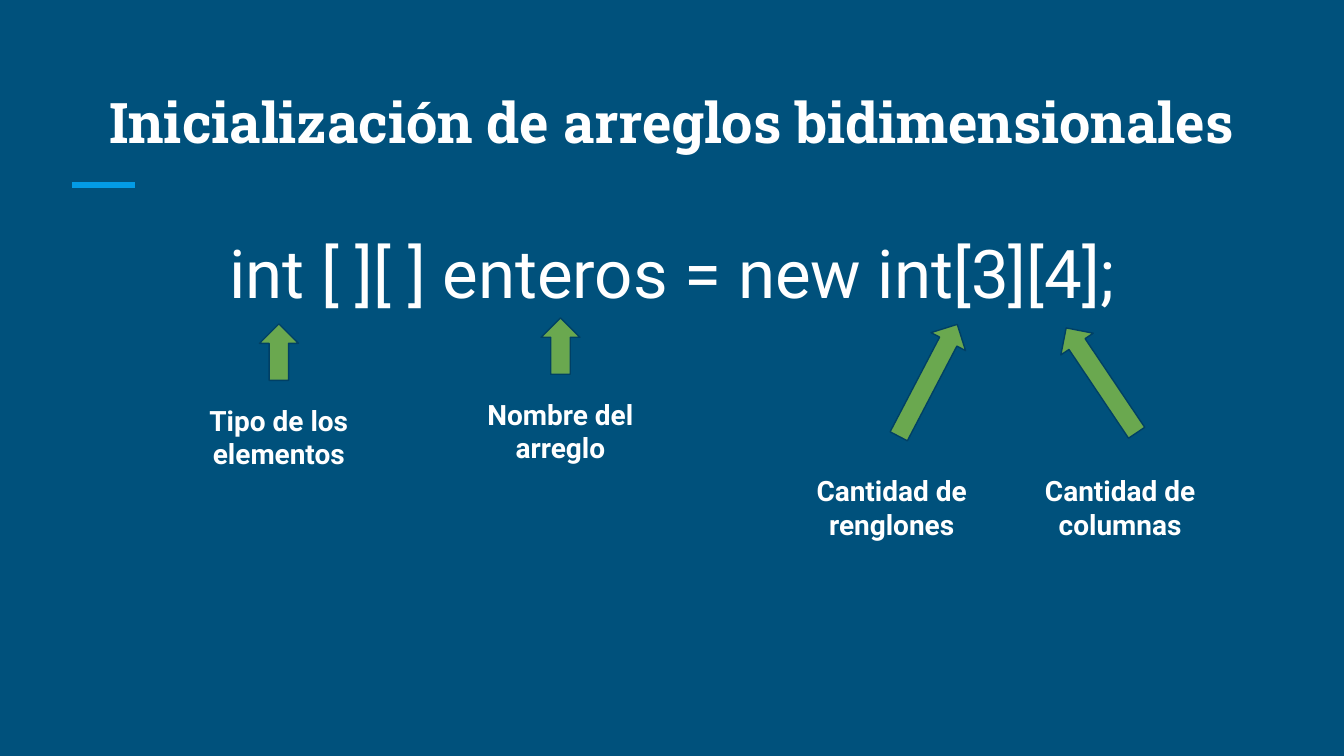
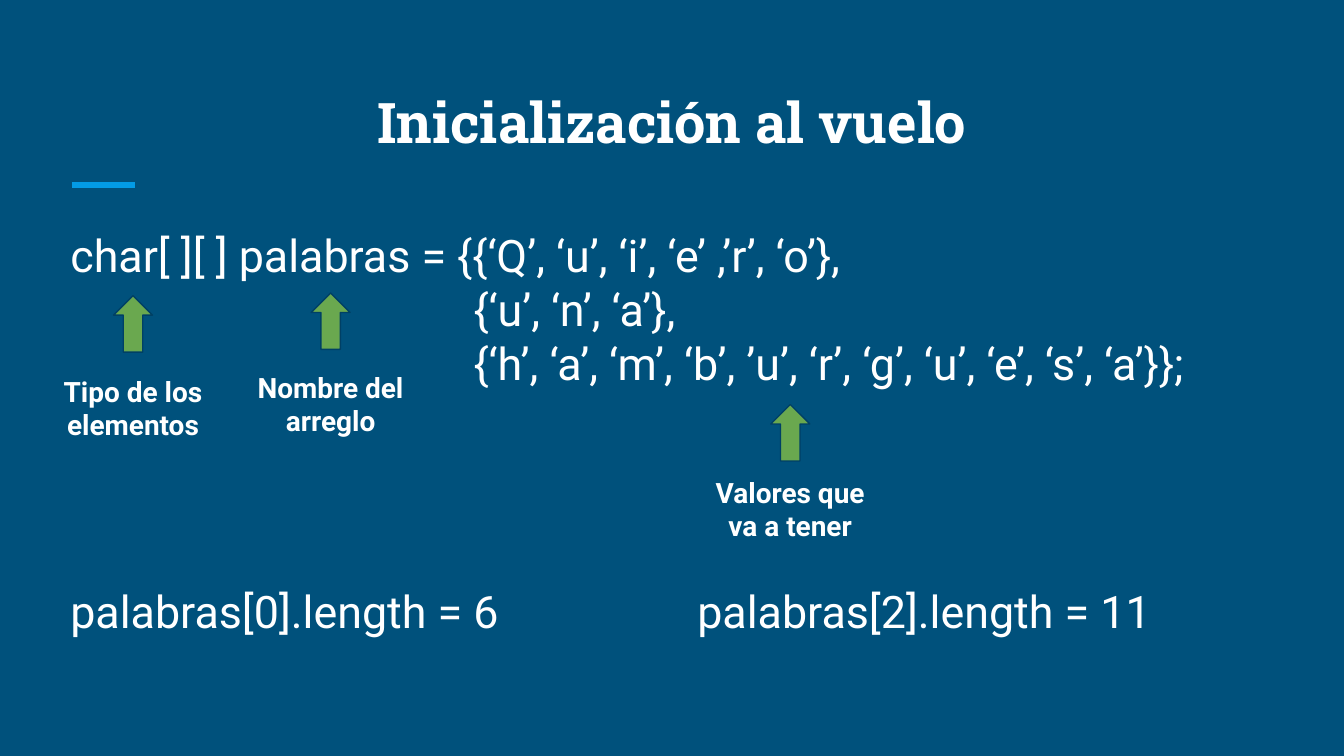
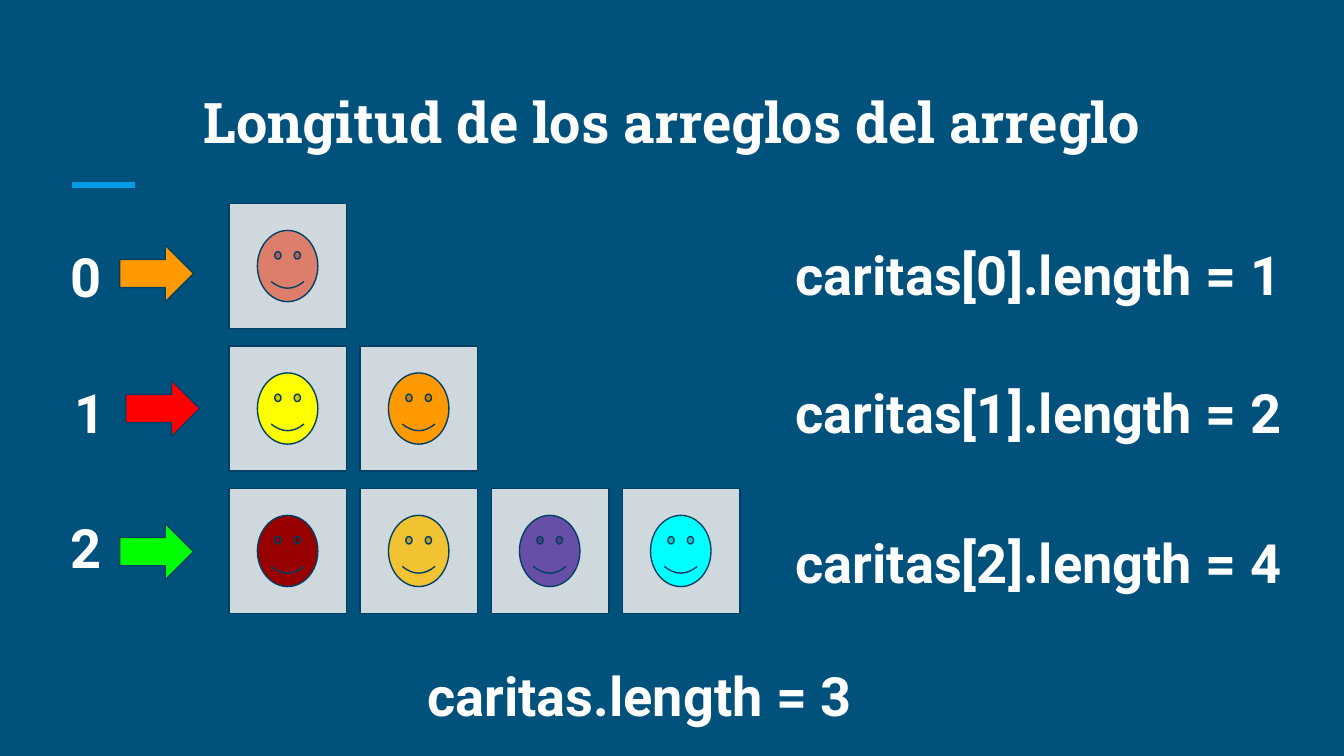
from pptx import Presentation
from pptx.dml.color import RGBColor
from pptx.enum.shapes import MSO_CONNECTOR as Connector, MSO_SHAPE as Shape
from pptx.enum.text import MSO_ANCHOR as Anchor, PP_ALIGN as Align
from pptx.oxml.ns import qn
from pptx.util import Pt
from lxml.etree import SubElement

EMU_PER_PX = 4572
COLORS = {
    "background": "00517C",
    "accent": "039BE5",
    "text": "FFFFFF",
    "outline": "004065",
    "pointer": "6AA84F",
    "cell": "CFD8DC",
    "salmon": "DD7E6B",
    "yellow": "FFFF00",
    "orange": "FF9900",
    "maroon": "980000",
    "gold": "F1C232",
    "purple": "674EA7",
    "cyan": "00FFFF",
    "red": "FF0000",
    "green": "00FF00",
}
BODY_FONT = "Roboto"
TITLE_FONT = "Roboto Slab"


def px(*lengths):
    return [length * EMU_PER_PX for length in lengths]


def color(name):
    return RGBColor.from_string(COLORS[name])


class Deck:
    def __init__(self, width, height):
        self.presentation = Presentation()
        self.presentation.slide_width, self.presentation.slide_height = px(width, height)
        self.shapes = None

    def new_slide(self, title):
        slide = self.presentation.slides.add_slide(self.presentation.slide_layouts[6])
        slide.background.fill.solid()
        slide.background.fill.fore_color.rgb = color("background")
        self.shapes = slide.shapes
        self.rule(107, 275, 201, 275)
        self.text([title], 85, 100, 1830, 150, 30, bold=True, align=Align.CENTER,
                  font=TITLE_FONT, anchor=Anchor.BOTTOM)

    def rule(self, *ends):
        connector = self.shapes.add_connector(Connector.STRAIGHT, *px(*ends))
        connector.line.color.rgb = color("accent")
        connector.line.width = Pt(3)
        SubElement(connector._element.spPr, qn("a:effectLst"))

    def text(self, lines, left, top, width, height, size, bold=False, align=Align.LEFT,
             font=BODY_FONT, anchor=Anchor.TOP, hanging=(0, 0)):
        frame = self.shapes.add_textbox(*px(left, top, width, height)).text_frame
        frame.word_wrap = True
        frame.vertical_anchor = anchor
        frame.margin_left, frame.margin_top, frame.margin_right, frame.margin_bottom = px(20, 20, 20, 20)
        for index, line in enumerate(lines):
            paragraph = frame.add_paragraph() if index else frame.paragraphs[0]
            paragraph.alignment = align
            if index:
                properties = paragraph._p.get_or_add_pPr()
                for name, length in zip(("marL", "indent"), px(*hanging)):
                    properties.set(name, str(length))
            run = paragraph.add_run()
            run.text = line
            run.font.name = font
            run.font.size = Pt(size)
            run.font.bold = bold
            run.font.color.rgb = color("text")

    def shape(self, kind, fill, left, top, width, height, rotation=0):
        shape = self.shapes.add_shape(kind, *px(left, top, width, height))
        shape.rotation = rotation
        shape.shadow.inherit = False
        shape.fill.solid()
        shape.fill.fore_color.rgb = color(fill)
        shape.line.color.rgb = color("outline")
        shape.line.width = Pt(0.75)

    def callout(self, label, label_at, arrow_at, arrow_height=84, rotation=0):
        slide_shapes = self.shapes
        self.shapes = slide_shapes.add_group_shape().shapes
        self.shape(Shape.UP_ARROW, "pointer", *arrow_at, 58, arrow_height, rotation)
        self.text([label], *label_at, 294, 64, 15, bold=True, align=Align.CENTER)
        self.shapes = slide_shapes

    def row_marker(self, number, number_at, arrow_at, fill):
        slide_shapes = self.shapes
        self.shapes = slide_shapes.add_group_shape().shapes
        self.text([str(number)], *number_at, 88, 106, 29, bold=True, align=Align.CENTER)
        self.shape(Shape.RIGHT_ARROW, fill, *arrow_at, 110, 84)
        self.shapes = slide_shapes

    def face_cell(self, row, column, fill):
        left = 341 + column * 195
        top = 303 + row * 212
        self.shape(Shape.RECTANGLE, "cell", left, top, 175, 186)
        self.shape(Shape.SMILEY_FACE, fill, left + 42, top + 40, 90, 106)

    def length(self, name, value, left, top):
        self.text([f"{name}.length = {value}"], left, top, 768, 106, 29, bold=True)


def initialization(deck):
    deck.new_slide("Inicialización de arreglos bidimensionales")
    deck.text(["int [ ][ ] enteros = new int[3][4];"], 112, 324, 1776, 108, 36, align=Align.CENTER)
    deck.callout("Tipo de los elementos", (268, 580), (386, 482))
    deck.callout("Nombre del arreglo", (687, 571), (805, 473))
    deck.callout("Cantidad de renglones", (1180, 685), (1352, 472), 188, 27.6)
    deck.callout("Cantidad de columnas", (1520, 685), (1610, 472), 188, 326.1)


def inline_initialization(deck):
    deck.new_slide("Inicialización al vuelo")
    deck.text([
        "char[ ][ ] palabras = {{‘Q’, ‘u’, ‘i’, ‘e’ ,’r’, ‘o’},",
        "{‘u’, ‘n’, ‘a’},",
        "{‘h’, ‘a’, ‘m’, ‘b’, ’u’, ‘r’, ‘g’, ‘u’, ‘e’, ‘s’, ‘a’}};",
    ], 85, 319, 1738, 108, 24, hanging=(500, 100))
    deck.callout("Tipo de los elementos", (51, 537), (169, 440))
    deck.callout("Nombre del arreglo", (345, 531), (463, 436))
    deck.callout("Valores que va a tener", (1029, 687), (1147, 602))
    deck.text(["palabras[0].length = 6"], 85, 849, 692, 108, 24)
    deck.text(["palabras[2].length = 11"], 1018, 849, 782, 108, 24)


def row_lengths(deck):
    deck.new_slide("Longitud de los arreglos del arreglo")
    rows = [
        (["salmon"], (84, 342), (178, 365), "orange", 340),
        (["yellow", "orange"], (90, 544), (187, 566), "red", 544),
        (["maroon", "gold", "purple", "cyan"], (84, 746), (178, 779), "green", 768),
    ]
    for row, (faces, number_at, arrow_at, arrow_fill, length_top) in enumerate(rows):
        for column, fill in enumerate(faces):
            deck.face_cell(row, column, fill)
        deck.row_marker(row, number_at, arrow_at, arrow_fill)
        deck.length(f"caritas[{row}]", len(faces), 1164, length_top)
    deck.length("caritas", len(rows), 616, 966)


def main():
    deck = Deck(2000, 1125)
    initialization(deck)
    inline_initialization(deck)
    row_lengths(deck)
    deck.presentation.save("out.pptx")


if __name__ == "__main__":
    main()
